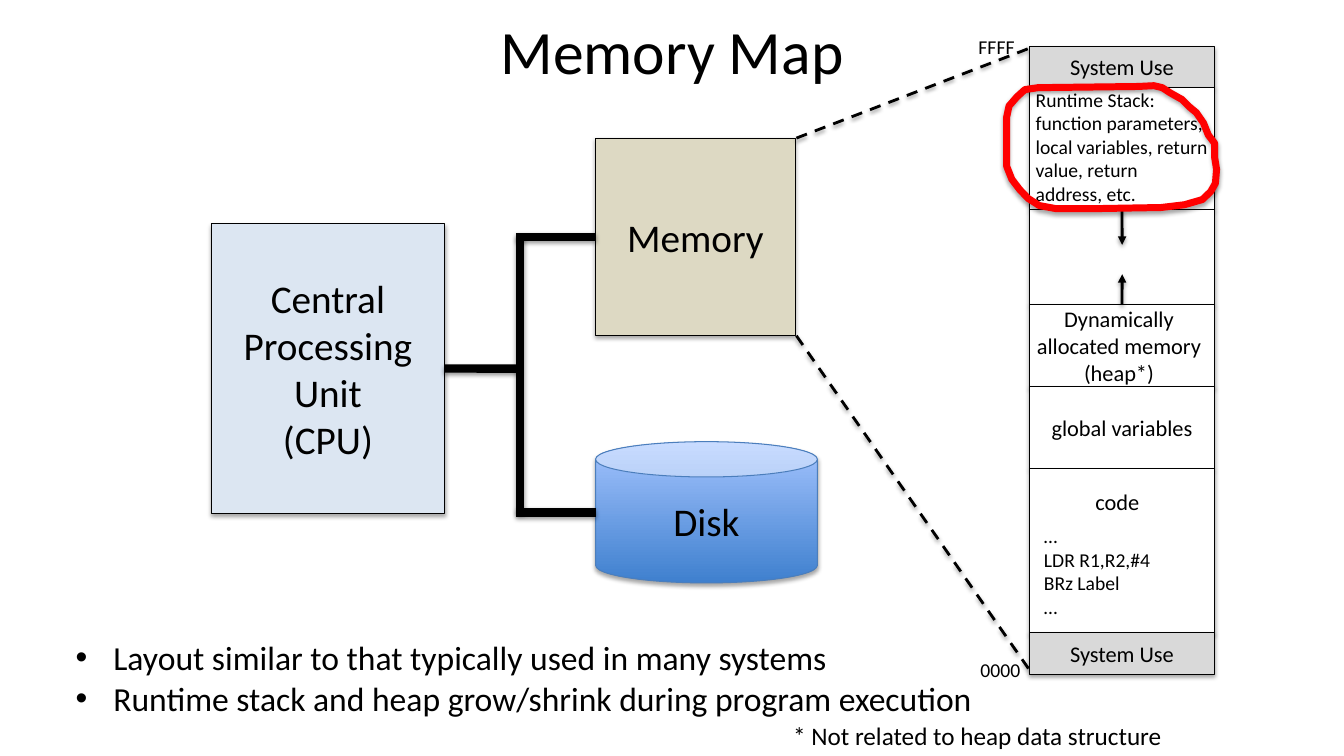
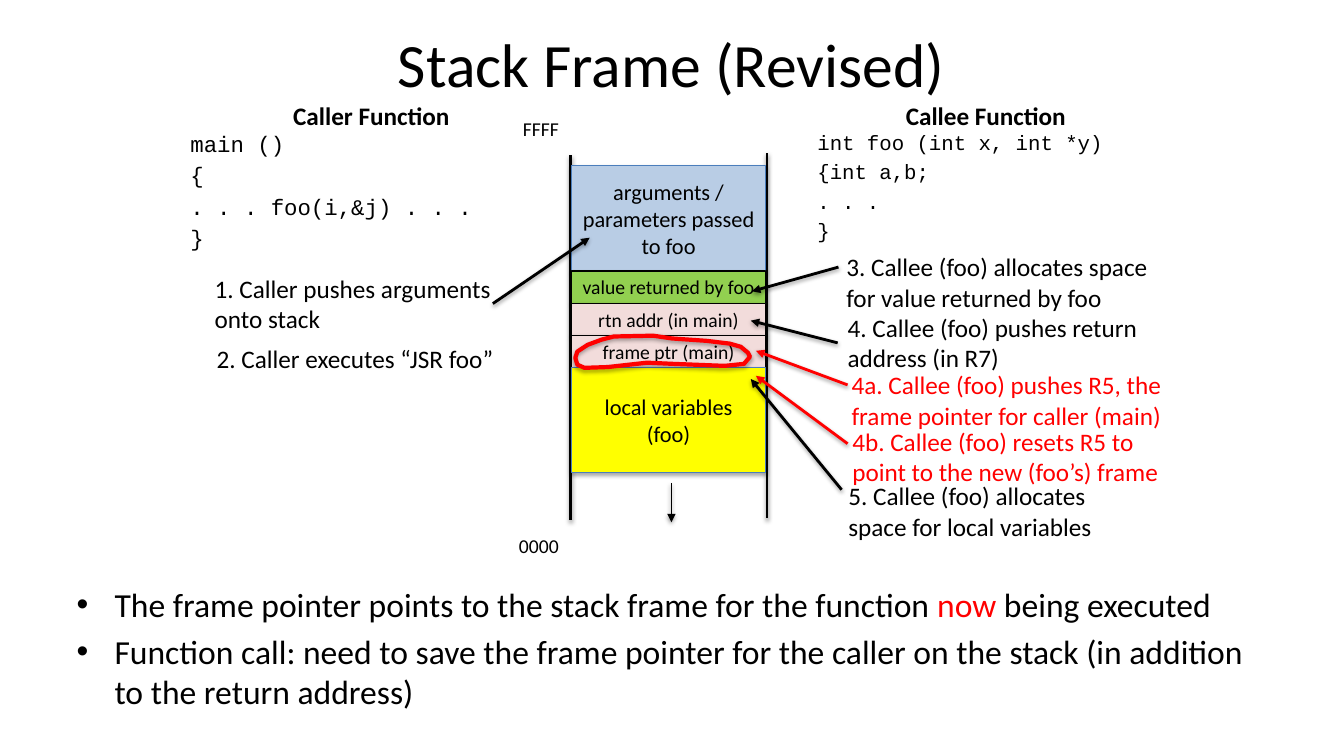
from dataclasses import dataclass

from lxml import etree
from pptx import Presentation
from pptx.dml.color import RGBColor
from pptx.enum.dml import MSO_LINE
from pptx.enum.shapes import MSO_CONNECTOR, MSO_SHAPE
from pptx.enum.text import MSO_ANCHOR, MSO_AUTO_SIZE, PP_ALIGN
from pptx.oxml.ns import qn
from pptx.util import Cm, Pt

RECT, CAN = MSO_SHAPE.RECTANGLE, MSO_SHAPE.CAN
LINE, DASH = MSO_CONNECTOR.STRAIGHT, MSO_LINE.DASH
LEFT, MID = PP_ALIGN.LEFT, PP_ALIGN.CENTER
TOP, HALF = MSO_ANCHOR.TOP, MSO_ANCHOR.MIDDLE
FIXED = MSO_AUTO_SIZE.NONE
SANS, MONO = "Calibri", "Courier New"

HUES = {
    "black": "000000", "white": "FFFFFF", "red": "FF0000",
    "ice": "DCE6F2", "sand": "DDD9C3", "grey": "D9D9D9",
    "blue": "B9CDE5", "edge": "4B7EBC", "green": "92D050",
    "pink": "F2DCDB", "yellow": "FFFF00",
    "deep": "3F80CE", "pale": "A4C4FF",
}

# Lengths are in centimetres, type sizes and line widths in points
Rect = tuple[float, float, float, float]
Spot = tuple[float, float]


@dataclass
class Cell:
    text: str
    high: float
    fill: str = "white"
    size: float = 16
    edge: str = "black"
    align: PP_ALIGN = MID
    anchor: MSO_ANCHOR = HALF
    pad: Rect = (0.25, 0.13, 0.25, 0.13)


@dataclass
class Note:
    text: str
    at: Rect
    size: float = 18
    hue: str = "black"
    font: str = SANS
    bold: bool = False
    align: PP_ALIGN = LEFT
    wrap: bool = True
    gap: float = 0


@dataclass
class Link:
    start: Spot
    end: Spot
    wide: float = 2
    hue: str = "black"
    dash: bool = False
    head: bool = False


def color(name: str) -> RGBColor:
    return RGBColor.from_string(HUES[name])


def place(part, at: Rect) -> None:
    part.left, part.top, part.width, part.height = map(Cm, at)


def shade(part, alpha: int = 35, dist: float = 1.8) -> None:
    """Cast a soft shadow straight down."""
    props = part.element.spPr
    fx = props.find(qn("a:effectLst"))
    if fx is None:
        fx = etree.SubElement(props, qn("a:effectLst"))
    cast = etree.SubElement(fx, qn("a:outerShdw"), blurRad=str(int(Pt(3.1))),
                            dist=str(int(Pt(dist))), dir="5400000", rotWithShape="0")
    tone = etree.SubElement(cast, qn("a:srgbClr"), val=HUES["black"])
    etree.SubElement(tone, qn("a:alpha"), val=str(alpha * 1000))


def style(frame, size: float, hue: str = "black", font: str = SANS,
          bold: bool = False, align: PP_ALIGN | None = None,
          gap: float | None = None) -> None:
    for par in frame.paragraphs:
        if align is not None:
            par.alignment = align
        if gap is not None:
            par.space_before = Pt(gap)
        for run in par.runs:
            run.font.name, run.font.size, run.font.bold = font, Pt(size), bold
            run.font.color.rgb = color(hue)


def box(slide, cell: Cell, left: float, top: float, wide: float, kind=RECT):
    part = slide.shapes.add_shape(kind, Cm(left), Cm(top), Cm(wide), Cm(cell.high))
    part.shadow.inherit = False
    part.fill.solid()
    part.fill.fore_color.rgb = color(cell.fill)
    part.line.color.rgb = color(cell.edge)
    part.line.width = Pt(0.75)
    shade(part)
    frame = part.text_frame
    frame.word_wrap, frame.vertical_anchor = True, cell.anchor
    (frame.margin_left, frame.margin_top,
     frame.margin_right, frame.margin_bottom) = map(Cm, cell.pad)
    frame.text = cell.text
    style(frame, cell.size, align=cell.align)
    return part


def stack(slide, left: float, top: float, wide: float, cells: list[Cell]) -> list:
    """Pile cells downwards without gaps."""
    parts = []
    for cell in cells:
        parts.append(box(slide, cell, left, top, wide))
        top += cell.high
    return parts


def write(slide, note: Note) -> None:
    part = slide.shapes.add_textbox(*map(Cm, note.at))
    frame = part.text_frame
    frame.word_wrap = note.wrap
    frame.text = note.text
    style(frame, note.size, note.hue, note.font, note.bold, note.align, note.gap)


def join(slide, link: Link):
    part = slide.shapes.add_connector(LINE, *map(Cm, link.start + link.end))
    part.line.color.rgb = color(link.hue)
    part.line.width = Pt(link.wide)
    if link.dash:
        part.line.dash_style = DASH
    if link.head:
        stroke = part.element.spPr.find(qn("a:ln"))
        etree.SubElement(stroke, qn("a:tailEnd"), type="triangle")
    shade(part, 38, 1.6)
    return part


def ring(slide, dots: list[Spot], wide: float) -> None:
    """Draw a closed red marker loop."""
    first, *rest = [(Cm(x), Cm(y)) for x, y in dots]
    pen = slide.shapes.build_freeform(*first)
    pen.add_line_segments(rest, close=True)
    part = pen.convert_to_shape()
    part.shadow.inherit = False
    part.fill.background()
    part.line.color.rgb = color("red")
    part.line.width = Pt(wide)
    shade(part)


def begin(deck, title: str, at: Rect, points: list[str], area: Rect,
          gap: float | None = None):
    """Add a slide with its title and bullet list."""
    slide = deck.slides.add_slide(deck.slide_layouts[1])
    head, body = slide.shapes.title, slide.placeholders[1]
    for part, text, spot in ((head, title, at), (body, "\n".join(points), area)):
        place(part, spot)
        part.text_frame.text = text
        part.text_frame.auto_size = FIXED
    head.text_frame.vertical_anchor = HALF
    style(head.text_frame, 44, align=MID)
    style(body.text_frame, 24, gap=gap)
    return slide


def tint(frame, par, word: str) -> None:
    """Turn one word of a bullet red."""
    before, after = par.text.split(word)
    par.text = before
    for text in (word, after):
        par.add_run().text = text
    style(frame, 24)
    par.runs[1].font.color.rgb = color("red")


def memory(deck) -> None:
    slide = begin(
        deck, "Memory Map", (5.51, 0.05, 22.86, 2.39),
        ["Layout similar to that typically used in many systems",
         "Runtime stack and heap grow/shrink during program execution"],
        (1.65, 15.93, 27.03, 2.31), gap=0)

    # Machine parts and the bus between them
    cpu = box(slide, Cell("Central Processing Unit\n(CPU)", 7.29, "ice", 28),
              5.33, 5.64, 5.87)
    mem = box(slide, Cell("Memory", 4.98, "sand", 28), 15.01, 3.48, 5.03)
    disk = box(slide, Cell("Disk", 3.56, "blue", 28, "edge"),
               15.01, 11.13, 5.59, CAN)
    disk.fill.gradient()
    disk.fill.gradient_angle = 90
    for stop, name in zip(disk.fill.gradient_stops, ("deep", "pale")):
        stop.color.rgb = color(name)
    bus = 13.1
    join(slide, Link((11.2, 9.28), (bus, 9.29), 6)).begin_connect(cpu, 3)
    join(slide, Link((bus, 12.93), (bus, 5.94), 6))
    join(slide, Link((13, 5.97), (15.01, 5.97), 6)).end_connect(mem, 1)
    join(slide, Link((13, 12.91), (15.01, 12.91), 6))

    # Zoom lines from the memory block to the map
    join(slide, Link((20.07, 3.48), (25.93, 1.22), dash=True))
    join(slide, Link((20.07, 8.46), (26.04, 17.02), dash=True))

    # Map of the address space
    bound = Cell("System Use", 1.04, "grey")
    parts = stack(slide, 25.95, 1.17, 4.65, [
        bound,
        Cell("Runtime Stack: function parameters,\n"
             "local variables, return value, return address, etc.",
             3.07, size=14, align=LEFT, anchor=TOP, pad=(0.15, 0, 0.15, 0)),
        Cell("", 2.39),
        Cell("Dynamically allocated memory\n(heap*)", 2.08, anchor=TOP,
             pad=(0.13, 0.03, 0.28, 0)),
        Cell("global variables", 2.06),
        Cell("code", 4.14, anchor=TOP, pad=(0.13, 0.48, 0.36, 0)),
        bound,
    ])
    for part, start, end in ((parts[2], 5.28, 6.17), (parts[3], 7.67, 6.91)):
        arrow = join(slide, Link((28.28, start), (28.28, end), head=True))
        arrow.begin_connect(part, 0)

    for note in (
        Note("…\nLDR R1,R2,#4\nBRz Label\n…", (26.06, 13.08, 3.33, 2.64), 14),
        Note("* Not related to heap data structure", (19.74, 18.03, 9.91, 1.02), wrap=False),
        Note("0000", (24.46, 16.46, 1.52, 0.86), 14, wrap=False),
        Note("FFFF", (24.41, 0.76, 1.42, 0.86), 14, wrap=False),
    ):
        write(slide, note)

    ring(slide, [
        (30.61, 3.61), (30.45, 3.4), (30.33, 3.1), (30.15, 2.84), (29.97, 2.69),
        (29.79, 2.51), (29.49, 2.34), (29.29, 2.21), (29.08, 2.16), (28.68, 2.18),
        (26.16, 2.21), (25.83, 2.26), (25.63, 2.44), (25.43, 2.67), (25.37, 2.95),
        (25.37, 4.19), (25.5, 4.52), (25.7, 4.78), (25.91, 5), (26.19, 5.18),
        (26.62, 5.26), (27.48, 5.26), (29.26, 5.23), (29.85, 5.16), (30.3, 5.03),
        (30.51, 4.83), (30.63, 4.62), (30.66, 4.27), (30.61, 3.96)], 5)


def frames(deck) -> None:
    slide = begin(
        deck, "Stack Frame (Revised)", (5.49, 0, 22.86, 3.18),
        ["The frame pointer points to the stack frame for the function now being executed",
         "Function call: need to save the frame pointer for the caller on the stack "
         "(in addition to the return address)"],
        (1.68, 14.58, 30.48, 4.6))
    frame = slide.placeholders[1].text_frame
    tint(frame, frame.paragraphs[0], "now")

    # Stack between its two rails
    for x, top in ((14.38, 3.91), (19.33, 3.86)):
        join(slide, Link((x, top), (x, top + 9.2)))
    stack(slide, 14.41, 4.17, 4.88, [
        Cell("arguments / parameters passed to foo", 2.66, "blue", edge="edge"),
        Cell("value returned by foo", 0.81, "green", 14),
        Cell("rtn addr (in main)", 0.81, "pink", 14),
        Cell("frame ptr (main)", 0.81, "pink", 14),
        Cell("local variables (foo)", 2.64, "yellow", edge="edge"),
    ])
    join(slide, Link((16.92, 12.17), (16.92, 13.16), 1, head=True))

    # Code, headings and addresses
    for note in (
        Note("main ()\n{\n. . . foo(i,&j) . . .\n}", (4.55, 3.15, 8.69, 3.84),
             16, font=MONO, gap=3.2),
        Note("int foo (int x, int *y)\n{int a,b;\n. . .\n}", (20.35, 3.15, 8.03, 3.51),
             14.8, font=MONO, gap=3.2),
        Note("Caller Function", (7.11, 2.41, 4.5, 1.02), bold=True, align=MID, wrap=False),
        Note("Callee Function", (22.56, 2.41, 4.57, 1.02), bold=True, align=MID, wrap=False),
        Note("0000", (12.83, 13.34, 1.52, 0.86), 14, wrap=False),
        Note("FFFF", (12.93, 2.82, 1.42, 0.86), 14, wrap=False),
        Note("2. Caller executes “JSR foo”", (5.21, 8.53, 7.82, 1.02)),
    ):
        write(slide, note)

    # Call steps, each with an arrow into the stack
    for text, x, y, wide, start, end, hue in (
        ("1. Caller pushes arguments onto stack",
         5.16, 6.76, 7.82, (12.42, 7.65), (14.86, 5.99), "black"),
        ("3. Callee (foo) allocates space for value returned by foo",
         21.08, 6.22, 8.33, (21.13, 6.73), (18.95, 7.34), "black"),
        ("4. Callee (foo) pushes return address (in R7)",
         21.11, 7.75, 7.82, (21.11, 8.64), (18.92, 8.08), "black"),
        ("5. Callee (foo) allocates space for local variables",
         21.13, 11.99, 7.82, (21.21, 12.34), (18.92, 9.55), "black"),
        ("4a. Callee (foo) pushes R5, the frame pointer for caller (main)",
         21.21, 9.19, 8.41, (21.36, 9.7), (19.05, 8.84), "red"),
        ("4b. Callee (foo) resets R5 to point to the new (foo’s) frame",
         21.23, 10.62, 8.41, (21.36, 11.18), (19.05, 9.47), "red"),
    ):
        write(slide, Note(text, (x, y, wide, 1.8), hue=hue))
        join(slide, Link(start, end, hue=hue, head=True))

    ring(slide, [
        (18.85, 8.89), (18.67, 8.74), (18.39, 8.66), (17.81, 8.59), (16.94, 8.53),
        (16.46, 8.46), (15.47, 8.48), (15.16, 8.56), (14.81, 8.69), (14.55, 8.86),
        (14.5, 9.02), (14.55, 9.19), (14.73, 9.27), (15.32, 9.25), (16.31, 9.14),
        (16.97, 9.17), (18.26, 9.22), (18.75, 9.17), (18.9, 8.99)], 3)


def main() -> None:
    deck = Presentation()
    deck.slide_width, deck.slide_height = Cm(33.87), Cm(19.05)
    memory(deck)
    frames(deck)
    deck.save("out.pptx")


if __name__ == "__main__":
    main()
